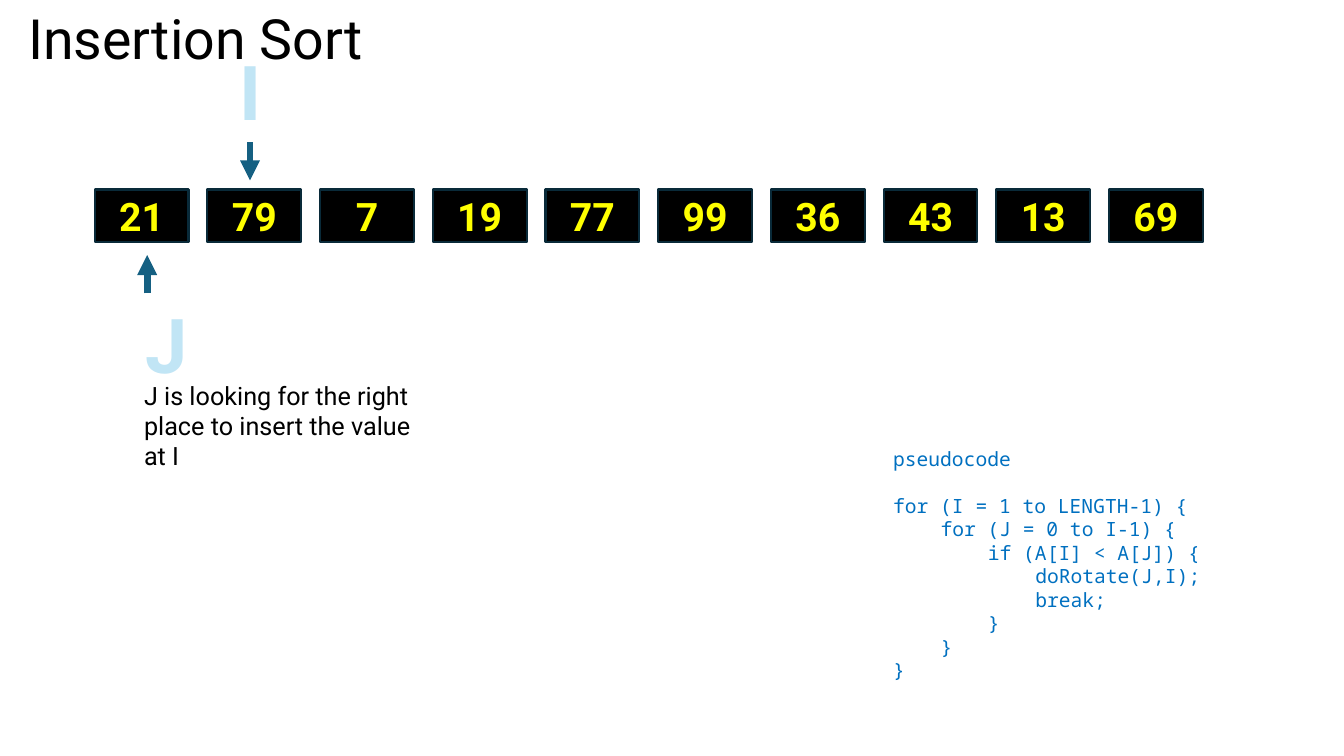
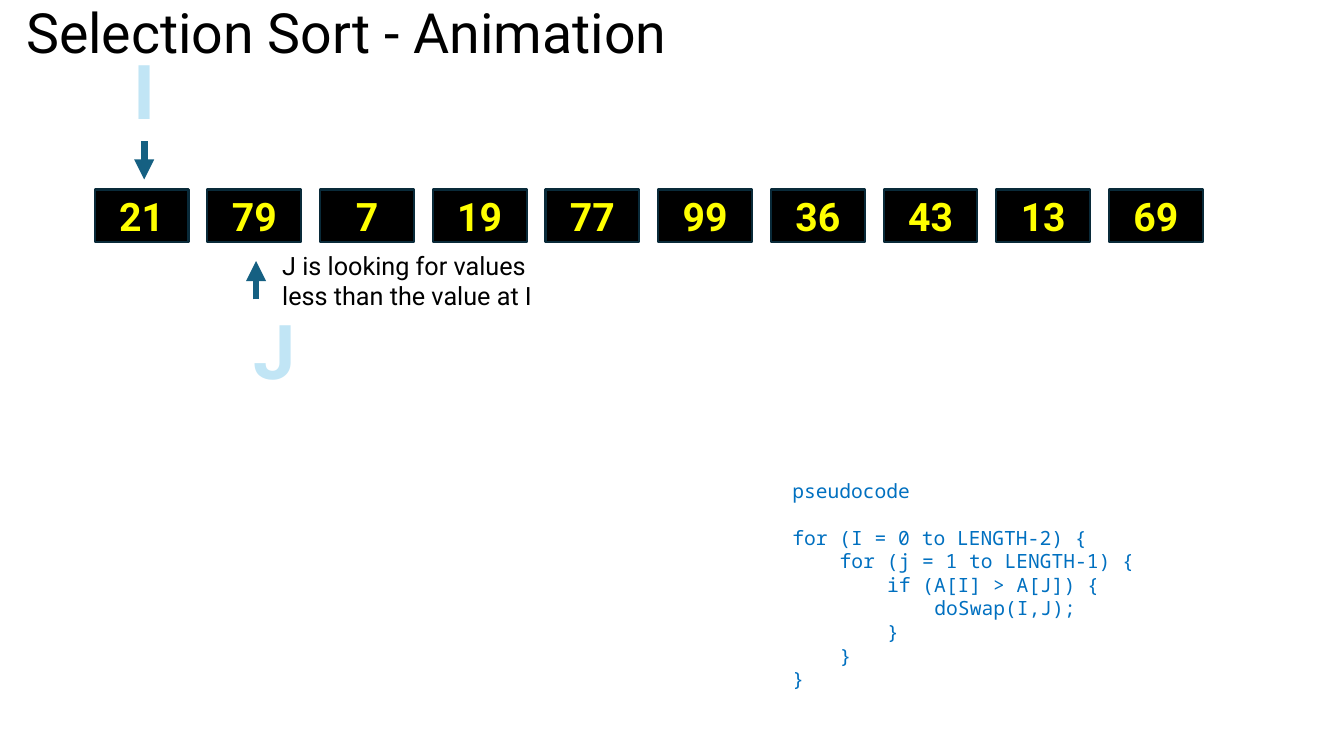
from lxml.etree import SubElement
from pptx import Presentation
from pptx.dml.color import RGBColor
from pptx.enum.shapes import MSO_CONNECTOR as Connector, MSO_SHAPE as Shape
from pptx.enum.text import MSO_ANCHOR as Anchor, MSO_AUTO_SIZE as AutoSize, PP_ALIGN as Align
from pptx.oxml.ns import qn
from pptx.util import Inches, Pt

COLORS = {
    "text": "000000",
    "cell": "000000",
    "cell_line": "092A39",
    "cell_text": "FFFF00",
    "letter": "C1E5F5",
    "arrow": "156082",
    "code": "0070C0",
}
FORMATS = {
    "title": {"name": "Roboto", "size": Pt(39.6), "bold": False},
    "caption": {"name": "Roboto", "size": Pt(18)},
    "cell_text": {"name": "Roboto", "size": Pt(28), "bold": True},
    "letter": {"name": "Roboto", "size": Pt(54), "bold": True},
    "code": {"name": "Noto Sans Mono", "size": Pt(14)},
}
TEXT_COLORS = {"title": "text", "caption": "text"}

VALUES = [21, 79, 7, 19, 77, 99, 36, 43, 13, 69]
FIRST_LEFT, LAST_LEFT = 0.94, 11
CELL_PITCH = (LAST_LEFT - FIRST_LEFT) / (len(VALUES) - 1)
CELL_TOP, CELL_WIDTH, CELL_HEIGHT = 1.88, 0.93, 0.52
LETTER_WIDTH, LETTER_HEIGHT = 0.42, 1.01
ARROW_LENGTH = 0.38
CODE_INDENT = 0.47
CODE_GAP = Pt(16.8)

# Each line of pseudocode is (indent level, text).
SLIDES = [
    {
        "title": ("Insertion Sort", (0.18, 0.13, 4.33, 0.57)),
        "i_marker": {"center": 2.48, "letter_top": 0.4},
        "j_marker": {"center": 1.46, "letter_top": 2.91},
        "caption": ("J is looking for the right place to insert the value at I",
                    (1.33, 3.72, 2.98, 1.01)),
        "code_box": (8.76, 4.38, 4.75, 2.76),
        "code": [
            (0, "for (I = 1 to LENGTH-1) {"),
            (1, "for (J = 0 to I-1) {"),
            (2, "if (A[I] < A[J]) {"),
            (3, "doRotate(J,I);"),
            (3, "break;"),
            (2, "}"),
            (1, "}"),
            (0, "}"),
        ],
    },
    {
        "title": ("Selection Sort - Animation", (0.16, 0, 6.57, 0.7)),
        "i_marker": {"center": 1.43, "letter_top": 0.39},
        "j_marker": {"center": 2.54, "letter_top": 2.97},
        "caption": ("J is looking for values less than the value at I",
                    (2.7, 2.43, 2.98, 0.71)),
        "code_box": (7.76, 4.7, 4.75, 2.52),
        "code": [
            (0, "for (I = 0 to LENGTH-2) {"),
            (1, "for (j = 1 to LENGTH-1) {"),
            (2, "if (A[I] > A[J]) {"),
            (3, "doSwap(I,J);"),
            (2, "}"),
            (1, "}"),
            (0, "}"),
        ],
    },
]


def color(key):
    return RGBColor.from_string(COLORS[key])


def to_inches(box):
    return [Inches(length) for length in box]


def write(paragraph, text, style):
    run = paragraph.add_run()
    run.text = text
    for attribute, value in FORMATS[style].items():
        setattr(run.font, attribute, value)
    run.font.color.rgb = color(TEXT_COLORS.get(style, style))


def add_title(slide, text, box):
    title = slide.shapes.title
    title.left, title.top, title.width, title.height = to_inches(box)
    frame = title.text_frame
    frame.auto_size = AutoSize.NONE
    frame.vertical_anchor = Anchor.MIDDLE
    paragraph = frame.paragraphs[0]
    paragraph.alignment = Align.LEFT
    paragraph.line_spacing = 0.9
    write(paragraph, text, "title")


def add_text(shapes, text, box, style, wrap=True, alignment=Align.LEFT):
    frame = shapes.add_textbox(*to_inches(box)).text_frame
    frame.word_wrap = wrap
    paragraph = frame.paragraphs[0]
    paragraph.alignment = alignment
    write(paragraph, text, style)
    return frame


def add_cell(slide, index, value):
    box = (FIRST_LEFT + index * CELL_PITCH, CELL_TOP, CELL_WIDTH, CELL_HEIGHT)
    cell = slide.shapes.add_shape(Shape.RECTANGLE, *to_inches(box))
    cell.shadow.inherit = False
    cell.fill.solid()
    cell.fill.fore_color.rgb = color("cell")
    cell.line.color.rgb = color("cell_line")
    cell.line.width = Pt(1.5)
    cell.text_frame.vertical_anchor = Anchor.MIDDLE
    paragraph = cell.text_frame.paragraphs[0]
    paragraph.alignment = Align.CENTER
    write(paragraph, str(value), "cell_text")


def add_arrow(shapes, center, start, end):
    arrow = shapes.add_connector(
        Connector.STRAIGHT, *to_inches((center, start, center, end)))
    arrow.line.color.rgb = color("arrow")
    arrow.line.width = Pt(4.75)
    properties = arrow._element.spPr
    SubElement(properties.find(qn("a:ln")), qn("a:tailEnd"), type="triangle")
    SubElement(properties, qn("a:effectLst"))


def add_marker(slide, letter, center, letter_top, arrow_start, direction, shift=0):
    """Group an index letter with its arrow; direction is 1 for down, -1 for up."""
    shapes = slide.shapes.add_group_shape().shapes
    left = center + shift - LETTER_WIDTH / 2
    add_text(shapes, letter, (left, letter_top, LETTER_WIDTH, LETTER_HEIGHT),
             "letter", wrap=False, alignment=Align.CENTER)
    add_arrow(shapes, center, arrow_start, arrow_start + direction * ARROW_LENGTH)


def add_code(slide, lines, box):
    frame = add_text(slide.shapes, "pseudocode", box, "code")
    for number, (level, text) in enumerate(lines):
        paragraph = frame.add_paragraph()
        paragraph._p.get_or_add_pPr().set("marL", str(Inches(level * CODE_INDENT)))
        if number == 0:
            paragraph.space_before = CODE_GAP
        write(paragraph, text, "code")


def add_sort_slide(presentation, content):
    slide = presentation.slides.add_slide(presentation.slide_layouts.get_by_name("Title Only"))
    add_title(slide, *content["title"])
    for index, value in enumerate(VALUES):
        add_cell(slide, index, value)
    i_marker, j_marker = content["i_marker"], content["j_marker"]
    add_marker(slide, "I", **i_marker, direction=1,
               arrow_start=i_marker["letter_top"] + LETTER_HEIGHT)
    add_marker(slide, "J", **j_marker, direction=-1,
               arrow_start=j_marker["letter_top"], shift=0.09)
    add_text(slide.shapes, *content["caption"], "caption")
    add_code(slide, content["code"], content["code_box"])


def main():
    presentation = Presentation()
    presentation.slide_width = Inches(13.33)
    presentation.slide_height = Inches(7.5)
    for content in SLIDES:
        add_sort_slide(presentation, content)
    presentation.save("out.pptx")


if __name__ == "__main__":
    main()
